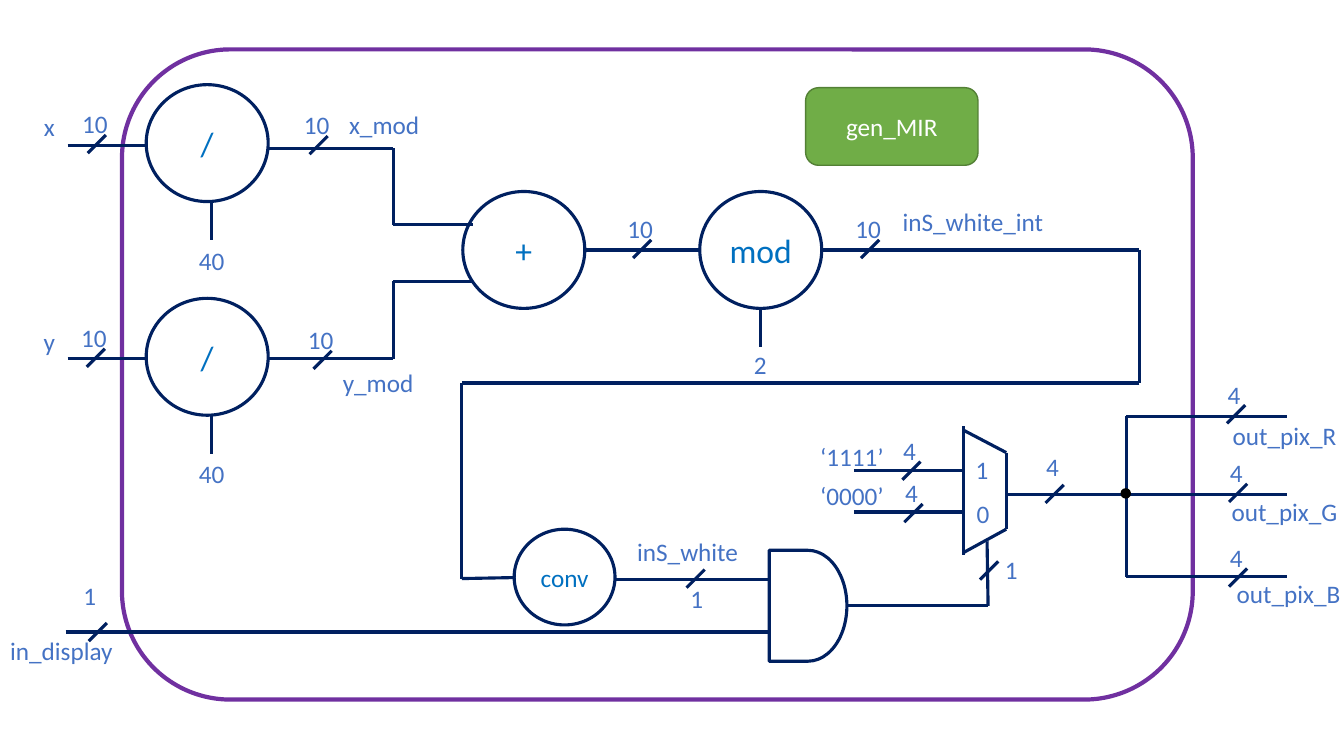
from dataclasses import dataclass
from itertools import pairwise

from pptx import Presentation
from pptx.dml.color import RGBColor
from pptx.enum.shapes import MSO_CONNECTOR, MSO_SHAPE
from pptx.enum.text import MSO_ANCHOR, MSO_AUTO_SIZE, PP_ALIGN
from pptx.oxml.ns import qn
from pptx.shapes.autoshape import Shape
from pptx.slide import Slide
from pptx.text.text import TextFrame
from pptx.util import Inches, Pt

COLUMNS, ROWS = 13.33, 7.5
WIDTH, HEIGHT = Inches(COLUMNS), Inches(ROWS)
NAVY, BLUE, LABEL, WHITE = "002060", "0070C0", "4472C4", "FFFFFF"
WIRE_WIDTH = 2.25
LABEL_HEIGHT = 0.4
SLASH = 0.09
CIRCLE_W, CIRCLE_H = 1.21, 1.16
DIVIDER_TOPS = (0.84, 2.96)
OUTPUT_ROWS = (4.13, 4.91, 5.72)
BUS_X, OUTPUT_END = 11.17, 12.76
MUX_LEFT, MUX_RIGHT = 9.56, 9.98


@dataclass
class Node:
    kind: MSO_SHAPE
    x: float
    y: float
    w: float = CIRCLE_W
    h: float = CIRCLE_H
    text: str = ""
    size: int = 24
    colour: str = BLUE
    fill: str = WHITE
    line: str = NAVY
    line_width: float = WIRE_WIDTH


@dataclass
class Label:
    text: str
    cx: float
    cy: float
    w: float = 0.48


@dataclass
class BusMark:
    bits: str
    cx: float
    cy: float
    dx: float = -0.02
    dy: float = -0.2


Wire = tuple[tuple[float, float], ...]

NODES = [
    Node(MSO_SHAPE.ROUNDED_RECTANGLE, 1.21, 0.49, 10.62, 6.45, line="7030A0", line_width=3),
    Node(MSO_SHAPE.ROUNDED_RECTANGLE, 7.99, 0.87, 1.71, 0.77, "gen_MIR", 18, WHITE,
         "70AD47", "538035", 1),
    *[Node(MSO_SHAPE.OVAL, 1.45, top, text="/") for top in DIVIDER_TOPS],
    Node(MSO_SHAPE.OVAL, 4.59, 1.9, text="+"),
    Node(MSO_SHAPE.OVAL, 6.94, 1.9, text="mod"),
    Node(MSO_SHAPE.OVAL, 5.1, 5.25, 1, 0.95, "conv", 18),
    Node(MSO_SHAPE.FLOWCHART_DELAY, 7.63, 5.46, 0.77, 1.1),
]
JUNCTION = Node(MSO_SHAPE.OVAL, 11.12, 4.85, 0.09, 0.09, fill="000000", line="000000", line_width=1)

WIRES: list[Wire] = [
    *[((0.67, top + 0.6), (1.45, top + 0.6)) for top in DIVIDER_TOPS],
    *[((2.1, top + CIRCLE_H), (2.1, top + 1.54)) for top in DIVIDER_TOPS],
    ((2.67, 1.47), (3.9, 1.47), (3.9, 2.23), (4.69, 2.23)),
    ((2.67, 3.56), (3.9, 3.56), (3.9, 2.79), (4.69, 2.79)),
    ((5.8, 2.48), (6.94, 2.48)),
    ((7.54, 3.06), (7.54, 3.44)),
    ((8.15, 2.48), (11.3, 2.48), (11.3, 3.8), (4.58, 3.8), (4.58, 5.74), (5.1, 5.73)),
    ((6.1, 5.75), (7.63, 5.75)),
    ((0.65, 6.27), (7.63, 6.27)),
    ((8.4, 6.01), (9.8, 6.01), (9.79, 5.37)),
    *[((8.47, y), (MUX_LEFT, y)) for y in (4.67, 5.08)],
    ((MUX_LEFT, 4.23), (MUX_LEFT, 5.51)),
    ((MUX_LEFT, 4.27), (MUX_RIGHT, 4.49), (MUX_RIGHT, 5.25), (MUX_LEFT, 5.48)),
    ((MUX_RIGHT, OUTPUT_ROWS[1]), (BUS_X, OUTPUT_ROWS[1])),
    ((BUS_X, OUTPUT_ROWS[0]), (BUS_X, OUTPUT_ROWS[-1])),
    *[((BUS_X, y), (OUTPUT_END, y)) for y in OUTPUT_ROWS],
]

MARKS = [
    BusMark("10", 0.96, 1.43), BusMark("10", 0.95, 3.55),
    BusMark("10", 3.16, 1.44), BusMark("10", 3.2, 3.57),
    BusMark("10", 6.37, 2.47), BusMark("10", 8.63, 2.47),
    BusMark("4", 9.04, 4.67), BusMark("4", 9.06, 5.09),
    BusMark("4", 10.46, 4.9, dy=-0.27),
    BusMark("4", 12.26, 4.11), BusMark("4", 12.28, 4.89), BusMark("4", 12.28, 5.73),
    BusMark("1", 0.97, 6.27, -0.08, -0.36),
    BusMark("1", 6.9, 5.74, 0.01, 0.2),
    BusMark("1", 9.81, 5.66, 0.22, -0.01),
]

LABELS = [
    Label("x", 0.49, 1.26), Label("y", 0.49, 3.39),
    *[Label("40", 2.1, top + 1.74) for top in DIVIDER_TOPS],
    Label("x_mod", 3.81, 1.24, 1.21), Label("y_mod", 3.75, 3.79, 1.21),
    Label("2", 7.54, 3.62),
    Label("inS_white_int", 9.65, 2.2, 1.71), Label("inS_white", 6.82, 5.47, 1.76),
    Label("in_display", 0.61, 6.45, 1.5),
    Label("‘1111’", 8.45, 4.53, 0.97), Label("‘0000’", 8.45, 4.92, 0.97),
    Label("1", 9.74, 4.66, 0.83), Label("0", 9.75, 5.09, 0.83),
    Label("out_pix_R", 12.74, 4.32, 2.18),
    Label("out_pix_G", 12.74, 5.07, 2.18),
    Label("out_pix_B", 12.78, 5.89, 2.18),
]


def rgb(colour: str) -> RGBColor:
    return RGBColor.from_string(colour)


def col(n: float) -> int:
    return round(WIDTH * n / COLUMNS)


def row(n: float) -> int:
    return round(HEIGHT * n / ROWS)


def write(tf: TextFrame, text: str, size: int, colour: str, frame: dict[str, object]) -> None:
    for name, value in frame.items():
        setattr(tf, name, value)
    p = tf.paragraphs[0]
    p.alignment = PP_ALIGN.CENTER
    r = p.add_run()
    r.text = text
    for name, value in {"name": "Calibri", "size": Pt(size)}.items():
        setattr(r.font, name, value)
    r.font.color.rgb = rgb(colour)


def draw_node(s: Slide, node: Node) -> Shape:
    sp = s.shapes.add_shape(node.kind, col(node.x), row(node.y), col(node.w), row(node.h))
    sp.shadow.inherit = False
    sp.fill.solid()
    sp.fill.fore_color.rgb = rgb(node.fill)
    sp.line.color.rgb = rgb(node.line)
    sp.line.width = Pt(node.line_width)
    if node.text:
        write(sp.text_frame, node.text, node.size, node.colour,
              {"word_wrap": True, "vertical_anchor": MSO_ANCHOR.MIDDLE})
    return sp


def draw_wire(s: Slide, wire: Wire) -> None:
    for (x1, y1), (x2, y2) in pairwise(wire):
        sp = s.shapes.add_connector(MSO_CONNECTOR.STRAIGHT, col(x1), row(y1), col(x2), row(y2))
        sp.line.color.rgb = rgb(NAVY)
        sp.line.width = Pt(WIRE_WIDTH)
        sp._element.spPr.add_effectLst() if hasattr(sp._element.spPr, "add_effectLst") else \
            sp._element.spPr.append(sp._element.makeelement(qn("a:effectLst"), {}))


def draw_label(s: Slide, label: Label) -> None:
    sp = s.shapes.add_textbox(col(label.cx - label.w / 2), row(label.cy - LABEL_HEIGHT / 2),
                              col(label.w), row(LABEL_HEIGHT))
    write(sp.text_frame, label.text, 18, LABEL,
          {"word_wrap": True, "auto_size": MSO_AUTO_SIZE.SHAPE_TO_FIT_TEXT})


def draw_mark(s: Slide, mark: BusMark) -> None:
    draw_wire(s, ((mark.cx - SLASH, mark.cy + SLASH), (mark.cx + SLASH, mark.cy - SLASH)))
    draw_label(s, Label(mark.bits, mark.cx + mark.dx, mark.cy + mark.dy))


def main() -> None:
    prs = Presentation()
    prs.slide_width, prs.slide_height = WIDTH, HEIGHT
    s = prs.slides.add_slide(prs.slide_layouts[6])
    for node in NODES:
        draw_node(s, node)
    for wire in WIRES:
        draw_wire(s, wire)
    draw_node(s, JUNCTION)
    for mark in MARKS:
        draw_mark(s, mark)
    for label in LABELS:
        draw_label(s, label)
    prs.save("out.pptx")


if __name__ == "__main__":
    main()
